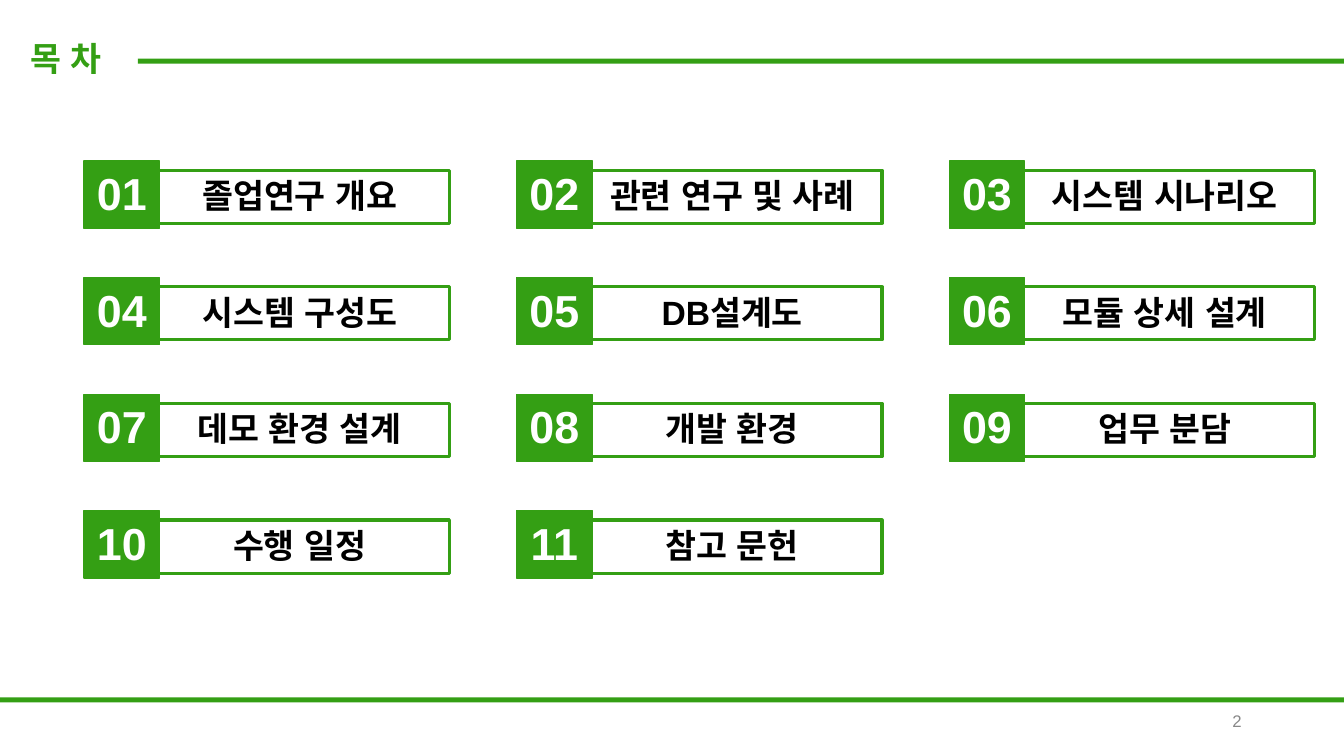
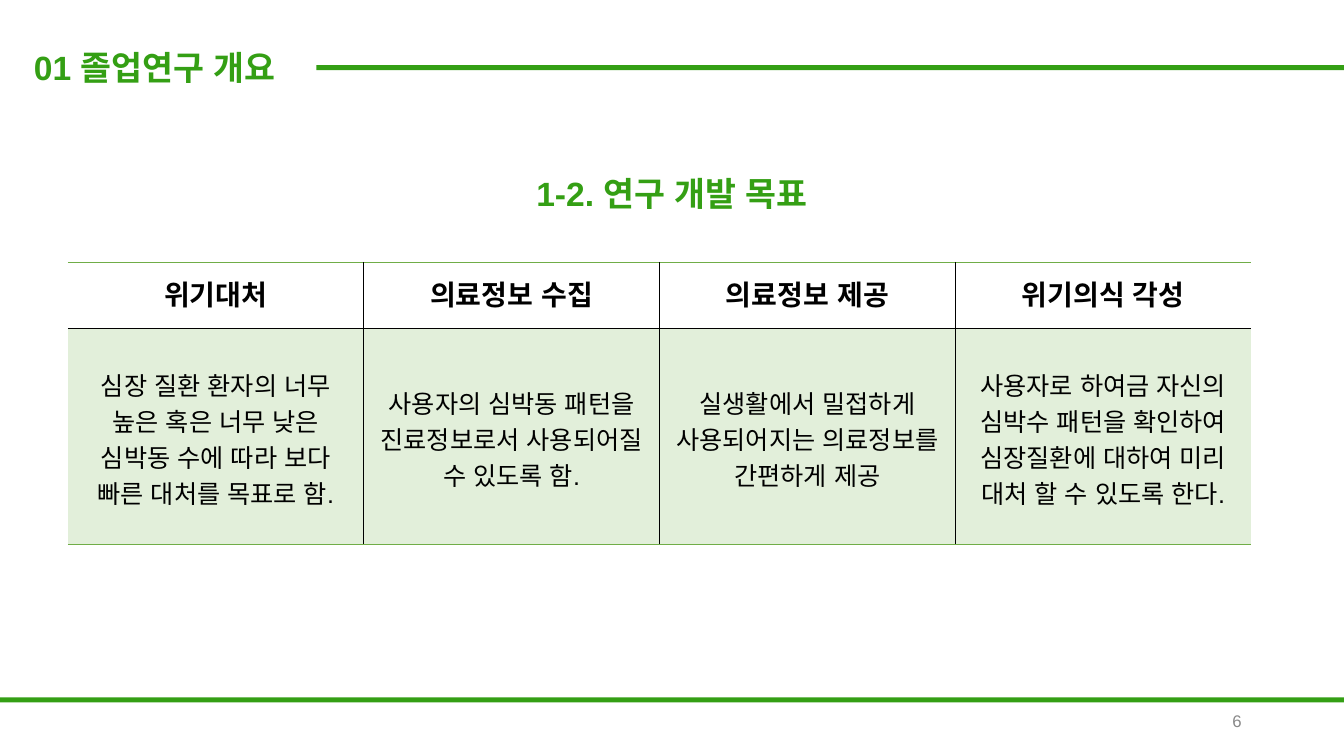
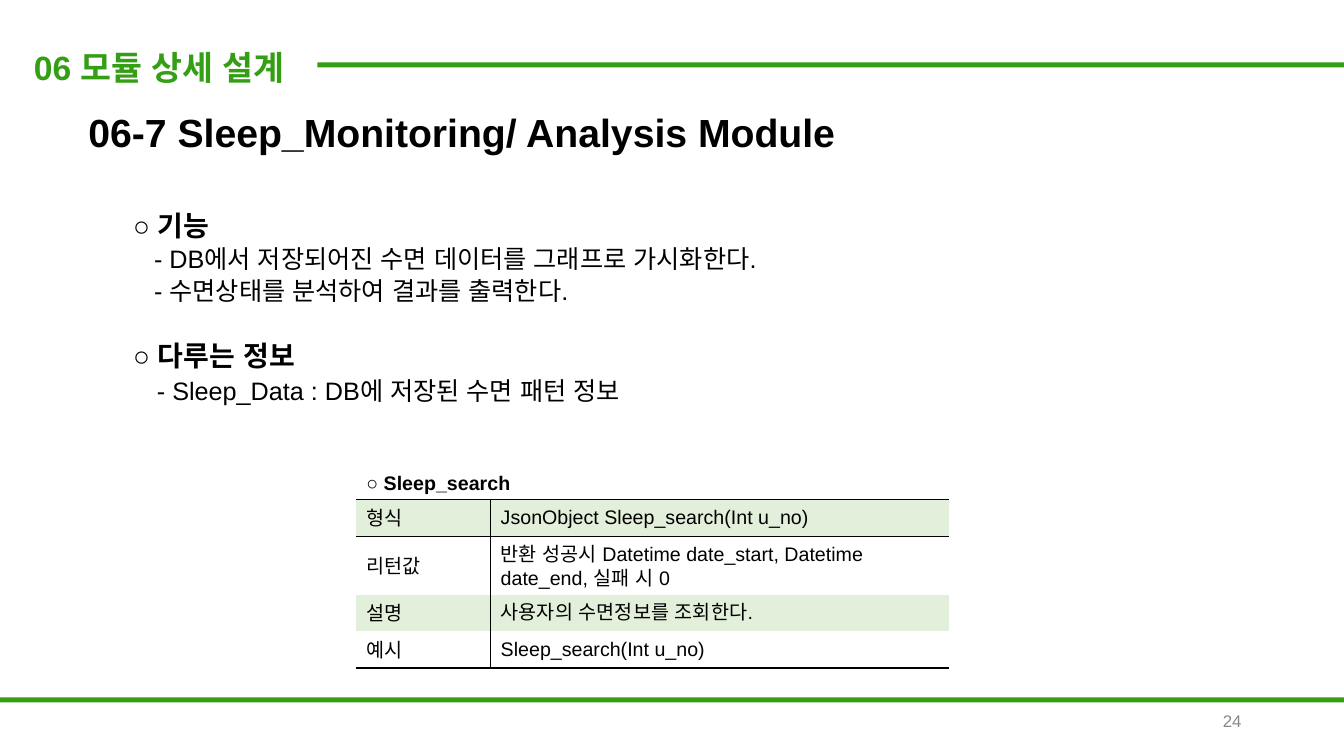
from lxml.etree import SubElement
from pptx import Presentation
from pptx.dml.color import RGBColor
from pptx.enum.shapes import MSO_SHAPE
from pptx.enum.text import MSO_ANCHOR, MSO_AUTO_SIZE, PP_ALIGN
from pptx.oxml.ns import qn
from pptx.oxml.xmlchemy import OxmlElement
from pptx.util import Pt

GREEN, BLACK, WHITE, GRAY = "349F14", "000000", "FFFFFF", "888888"
TABLE_GREEN, TINT = "70AD47", "E2EFDA"
FONT = "Arial"
SLIDE_W, SLIDE_H = 960, 540
RULE_H = 3.6
NO_STYLE = "{2D5ABB26-0587-4C30-8999-92F81FD0307C}"

LEFT, CENTER, RIGHT = PP_ALIGN.LEFT, PP_ALIGN.CENTER, PP_ALIGN.RIGHT
TOP, MIDDLE, BOTTOM = MSO_ANCHOR.TOP, MSO_ANCHOR.MIDDLE, MSO_ANCHOR.BOTTOM

AGENDA = ["졸업연구 개요", "관련 연구 및 사례", "시스템 시나리오",
          "시스템 구성도", "DB설계도", "모듈 상세 설계",
          "데모 환경 설계", "개발 환경", "업무 분담",
          "수행 일정", "참고 문헌"]

GOALS = [
    ("위기대처", "심장 질환 환자의 너무 높은 혹은 너무 낮은 심박동 수에 따라 보다 빠른 대처를 목표로 함."),
    ("의료정보 수집", "사용자의 심박동 패턴을 진료정보로서 사용되어질 수 있도록 함."),
    ("의료정보 제공", "실생활에서 밀접하게 사용되어지는 의료정보를 간편하게 제공"),
    ("위기의식 각성", "사용자로 하여금 자신의 심박수 패턴을 확인하여 심장질환에 대하여 미리 대처 할 수 있도록 한다."),
]

SEARCH_SPEC = [
    ("형식", "JsonObject Sleep_search(Int u_no)"),
    ("리턴값", "반환 성공시 Datetime date_start, Datetime date_end, 실패 시 0"),
    ("설명", "사용자의 수면정보를 조회한다."),
    ("예시", "Sleep_search(Int u_no)"),
]


def rgb(value):
    return RGBColor.from_string(value)


def points(*values):
    return [Pt(v) for v in values]


def write(p, text, size, color=BLACK, bold=False, align=LEFT, spacing=1.0):
    p.alignment = align
    p.line_spacing = spacing
    r = p.add_run()
    r.text = text
    for key, value in {"name": FONT, "size": Pt(size), "bold": bold}.items():
        setattr(r.font, key, value)
    r.font.color.rgb = rgb(color)
    SubElement(r.font._element, qn("a:ea")).set("typeface", FONT)


def set_frame(tf, anchor=TOP):
    frame_format = {"word_wrap": True, "auto_size": MSO_AUTO_SIZE.NONE,
                    "vertical_anchor": anchor}
    for key, value in frame_format.items():
        setattr(tf, key, value)


def add_text(slide, box, text, size, anchor=TOP, **style):
    tf = slide.shapes.add_textbox(*points(*box)).text_frame
    set_frame(tf, anchor)
    write(tf.paragraphs[0], text, size, **style)
    return tf


def add_section(slide, box, heading, items, indent, spacing):
    """Add a bold heading with indented lines below it."""
    tf = add_text(slide, box, heading, 20, bold=True)
    for item in items:
        p = tf.add_paragraph()
        p._p.get_or_add_pPr().set("marL", str(Pt(indent)))
        write(p, item, 18, spacing=spacing)


def add_rect(slide, box, fill=None, line=None, line_width=0.75):
    sp = slide.shapes.add_shape(MSO_SHAPE.RECTANGLE, *points(*box))
    sp.shadow.inherit = False
    if fill:
        sp.fill.solid()
        sp.fill.fore_color.rgb = rgb(fill)
    else:
        sp.fill.background()
    if line:
        sp.line.color.rgb = rgb(line)
        sp.line.width = Pt(line_width)
    else:
        sp.line.fill.background()
    set_frame(sp.text_frame)
    return sp


def add_slide(prs, title, title_box, rule_at, number):
    """Add a slide with its title, two green rules and page number."""
    slide = prs.slides.add_slide(prs.slide_layouts[5])
    sp = slide.shapes.title
    sp.left, sp.top, sp.width, sp.height = points(*title_box)
    set_frame(sp.text_frame)
    write(sp.text_frame.paragraphs[0], title, 24, GREEN, True)
    for x, y in (rule_at, (0, 498.2)):
        add_rect(slide, (x, y, SLIDE_W - x, RULE_H), GREEN)
    add_text(slide, (678, 500.4, 216, 28.8), str(number), 12, MIDDLE,
             color=GRAY, align=RIGHT)
    return slide


def add_agenda_item(slide, x, y, number, label):
    box = add_rect(slide, (x + 47, y + 6.5, 214, 38), line=GREEN, line_width=2.25)
    write(box.text_frame.paragraphs[0], label, 24, BLACK, True, CENTER)
    badge = add_rect(slide, (x, y, 54, 48), GREEN, GREEN)
    write(badge.text_frame.paragraphs[0], f"{number:02}", 32, WHITE, True, CENTER)


def add_table(slide, left, top, widths, heights):
    rows, cols = len(heights), len(widths)
    table = slide.shapes.add_table(
        rows, cols, *points(left, top, sum(widths), sum(heights))).table
    table.first_row = table.horz_banding = False
    table._tbl.tblPr.find(qn("a:tableStyleId")).text = NO_STYLE
    for column, width in zip(table.columns, widths):
        column.width = Pt(width)
    for row, height in zip(table.rows, heights):
        row.height = Pt(height)
    return table


def set_cell(cell, text, size, anchor=TOP, fill=None, borders=None, **style):
    """Fill in a cell; borders maps sides L, R, T, B to colours."""
    cell.vertical_anchor = anchor
    write(cell.text_frame.paragraphs[0], text, size, **style)
    if fill:
        cell.fill.solid()
        cell.fill.fore_color.rgb = rgb(fill)
    else:
        cell.fill.background()
    borders = borders or {}
    sides = [side for side in "LRTB" if side in borders]
    for i, side in enumerate(sides):
        ln = OxmlElement(f"a:ln{side}")
        ln.set("w", str(Pt(1)))
        color = SubElement(SubElement(ln, qn("a:solidFill")), qn("a:srgbClr"))
        color.set("val", borders[side])
        cell._tc.get_or_add_tcPr().insert(i, ln)


def build_agenda(prs):
    slide = add_slide(prs, "목 차", (14.5, 23.5, 73, 36), (98.6, 41.8), 2)
    for i, label in enumerate(AGENDA):
        row, col = divmod(i, 3)
        add_agenda_item(slide, 60 + 309 * col, 115 + 83.3 * row, i + 1, label)


def build_goals(prs):
    slide = add_slide(prs, "01 졸업연구 개요", (17, 30, 210, 36), (226, 46.5), 6)
    add_text(slide, (365, 120, 230, 65.5), "1-2. 연구 개발 목표", 24,
             color=GREEN, bold=True, align=CENTER)
    table = add_table(slide, 48.5, 187.4, [211.3] * len(GOALS), [47.5, 154])
    for col, (heading, goal) in enumerate(GOALS):
        divider = {"R": BLACK} if col < len(GOALS) - 1 else {}
        if col:
            divider["L"] = BLACK
        set_cell(table.cell(0, col), heading, 20, MIDDLE, bold=True, align=CENTER,
                 borders={"T": TABLE_GREEN, "B": BLACK, **divider})
        set_cell(table.cell(1, col), goal, 18, MIDDLE, TINT, align=CENTER,
                 spacing=1.28,
                 borders={"T": BLACK, "B": TABLE_GREEN, **divider})


def build_module(prs):
    slide = add_slide(prs, "06 모듈 상세 설계", (17, 30, 210, 36), (226.8, 44.6), 24)
    add_text(slide, (56, 73.5, 816, 41), "06-7 Sleep_Monitoring/ Analysis Module",
             28, bold=True)
    add_section(slide, (88, 145.5, 757, 75), "○ 기능",
                ["- DB에서 저장되어진 수면 데이터를 그래프로 가시화한다.",
                 "- 수면상태를 분석하여 결과를 출력한다."], 15, 1.05)
    add_section(slide, (88, 238.5, 757, 55.5), "○ 다루는 정보",
                ["- Sleep_Data : DB에 저장된 수면 패턴 정보"], 17, 1.1)

    table = add_table(slide, 254.5, 329.8, [96, 327.5], [27, 26.2, 40.7, 26.2, 26.2])
    table.cell(0, 0).merge(table.cell(0, 1))
    set_cell(table.cell(0, 0), "○ Sleep_search", 14, BOTTOM, bold=True,
             borders={"B": BLACK})
    for row, (name, value) in enumerate(SEARCH_SPEC, 1):
        fill = TINT if row % 2 else None
        edges = {"T": BLACK} if row == 1 else {}
        if row in (1, len(SEARCH_SPEC)):
            edges["B"] = BLACK
        set_cell(table.cell(row, 0), name, 14, MIDDLE, fill, {"R": BLACK, **edges},
                 spacing=1.1)
        set_cell(table.cell(row, 1), value, 14, TOP, fill, {"L": BLACK, **edges},
                 spacing=1.1)


def main():
    prs = Presentation()
    prs.slide_width, prs.slide_height = points(SLIDE_W, SLIDE_H)
    build_agenda(prs)
    build_goals(prs)
    build_module(prs)
    prs.save("out.pptx")


if __name__ == "__main__":
    main()
